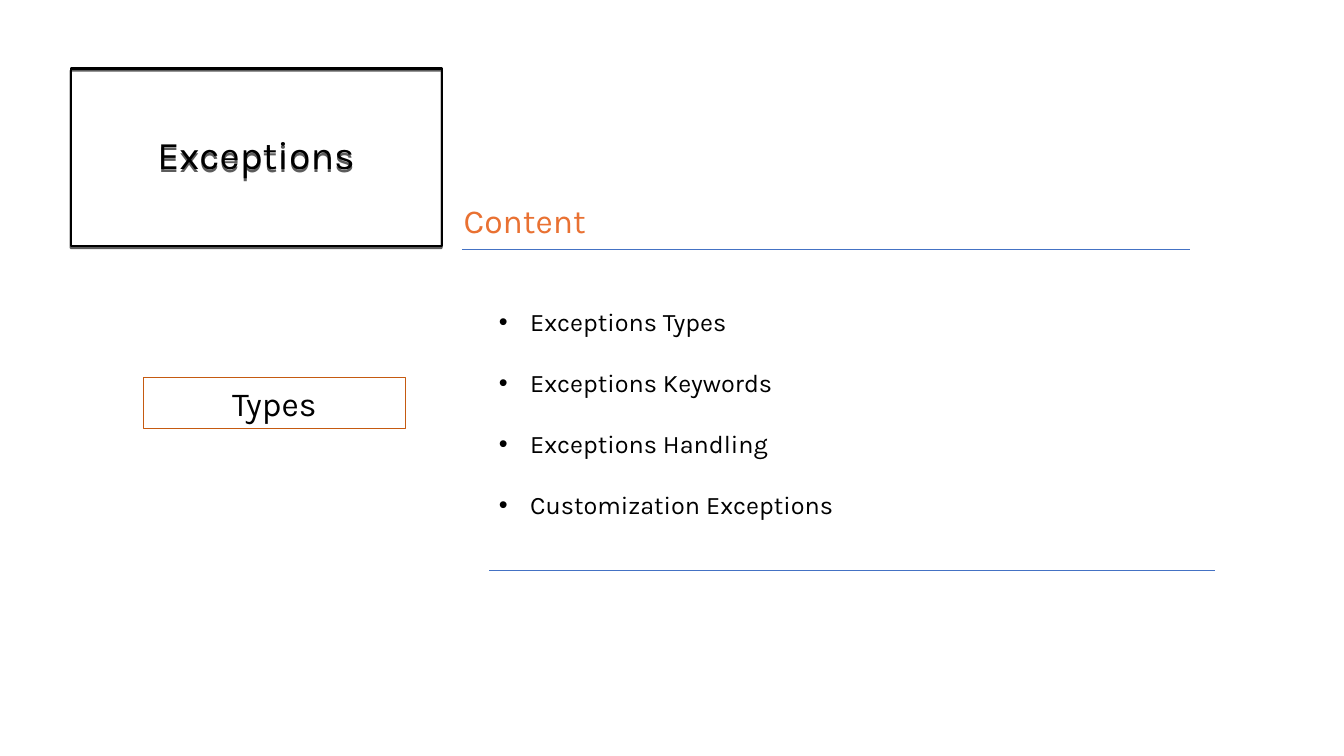
from lxml import etree
from pptx import Presentation
from pptx.dml.color import RGBColor
from pptx.enum.dml import MSO_FILL
from pptx.enum.shapes import MSO_CONNECTOR, MSO_SHAPE
from pptx.enum.text import MSO_ANCHOR, MSO_AUTO_SIZE, PP_ALIGN
from pptx.oxml.ns import qn
from pptx.util import Inches, Pt

STRAIGHT = MSO_CONNECTOR.STRAIGHT
RECTANGLE = MSO_SHAPE.RECTANGLE
CENTER, LEFT = PP_ALIGN.CENTER, PP_ALIGN.LEFT
TITLE_ONLY = 5
FONT = "Karla"
COLORS = {
    "text": "000000",
    "heading": "E97132",
    "rule": "4472C4",
    "box": "C55A11",
}
TOPICS = [
    "Exceptions Types",
    "Exceptions Keywords",
    "Exceptions Handling",
    "Customization Exceptions",
]


def color(name):
    return RGBColor.from_string(COLORS[name])


def format_paragraph(paragraph, size, color_name="text", align=LEFT):
    paragraph.alignment = align
    paragraph.font.name = FONT
    paragraph.font.size = Pt(size)
    paragraph.font.color.rgb = color(color_name)


def outline(shape, color_name, width):
    shape.fill.background()
    shape.line.color.rgb = color(color_name)
    shape.line.width = Pt(width)


def add_drop_shadow(shape):
    """Give the shape a sharp shadow straight below it."""
    effects = etree.SubElement(shape._element.spPr, qn("a:effectLst"))
    shadow = etree.SubElement(effects, qn("a:outerShdw"), blurRad="0",
                              dist=str(Pt(1.5)), dir="5400000", rotWithShape="0")
    shade = etree.SubElement(shadow, qn("a:srgbClr"), val=COLORS["text"])
    etree.SubElement(shade, qn("a:alpha"), val="63000")


def set_title(slide, text):
    title = slide.shapes.title
    title.left, title.top = Inches(0.7), Inches(0.68)
    title.width, title.height = Inches(3.68), Inches(1.76)
    outline(title, "text", 1.5)
    add_drop_shadow(title)
    frame = title.text_frame
    frame.text = text
    frame.auto_size = MSO_AUTO_SIZE.NONE
    frame.vertical_anchor = MSO_ANCHOR.MIDDLE
    frame.paragraphs[0].line_spacing = 0.9
    format_paragraph(frame.paragraphs[0], 28, align=CENTER)


def add_rule(slide, left, right, y):
    rule = slide.shapes.add_connector(
        STRAIGHT, Inches(left), Inches(y), Inches(right), Inches(y))
    rule.line.color.rgb = color("rule")
    rule.line.width = Pt(0.5)
    etree.SubElement(rule._element.spPr, qn("a:effectLst"))


def add_types_box(slide):
    box = slide.shapes.add_shape(
        RECTANGLE, Inches(1.42), Inches(3.75), Inches(2.6), Inches(0.5))
    box.shadow.inherit = False
    outline(box, "box", 0.75)
    frame = box.text_frame
    frame.text = "Types"
    frame.word_wrap = True
    frame.vertical_anchor = MSO_ANCHOR.TOP
    format_paragraph(frame.paragraphs[0], 24, align=CENTER)


def add_text_frame(slide, left, top, width, height):
    frame = slide.shapes.add_textbox(
        Inches(left), Inches(top), Inches(width), Inches(height)).text_frame
    frame.word_wrap = True
    return frame


def add_heading(slide, text):
    frame = add_text_frame(slide, 4.5, 1.93, 1.58, 0.5)
    frame.text = text
    format_paragraph(frame.paragraphs[0], 24, "heading")


def add_bullet(paragraph):
    properties = paragraph._p.get_or_add_pPr()
    properties.set("marL", str(Inches(0.31)))
    properties.set("indent", str(-Inches(0.31)))
    etree.SubElement(properties, qn("a:buFont"), typeface="Arial")
    etree.SubElement(properties, qn("a:buChar"), char="•")


def add_topics(slide):
    frame = add_text_frame(slide, 4.85, 2.99, 6.67, 2.52)
    frame.text = "\n".join(TOPICS)
    for topic in frame.paragraphs:
        topic.space_after = Pt(22)
        add_bullet(topic)
        format_paragraph(topic, 18)


def main():
    presentation = Presentation()
    presentation.slide_width = Inches(13.33)
    presentation.slide_height = Inches(7.5)
    slide = presentation.slides.add_slide(presentation.slide_layouts[TITLE_ONLY])
    set_title(slide, "Exceptions")
    add_rule(slide, 4.58, 11.8, 2.47)
    add_rule(slide, 4.85, 12.05, 5.66)
    add_types_box(slide)
    add_heading(slide, "Content")
    add_topics(slide)
    presentation.save("out.pptx")


if __name__ == "__main__":
    main()
